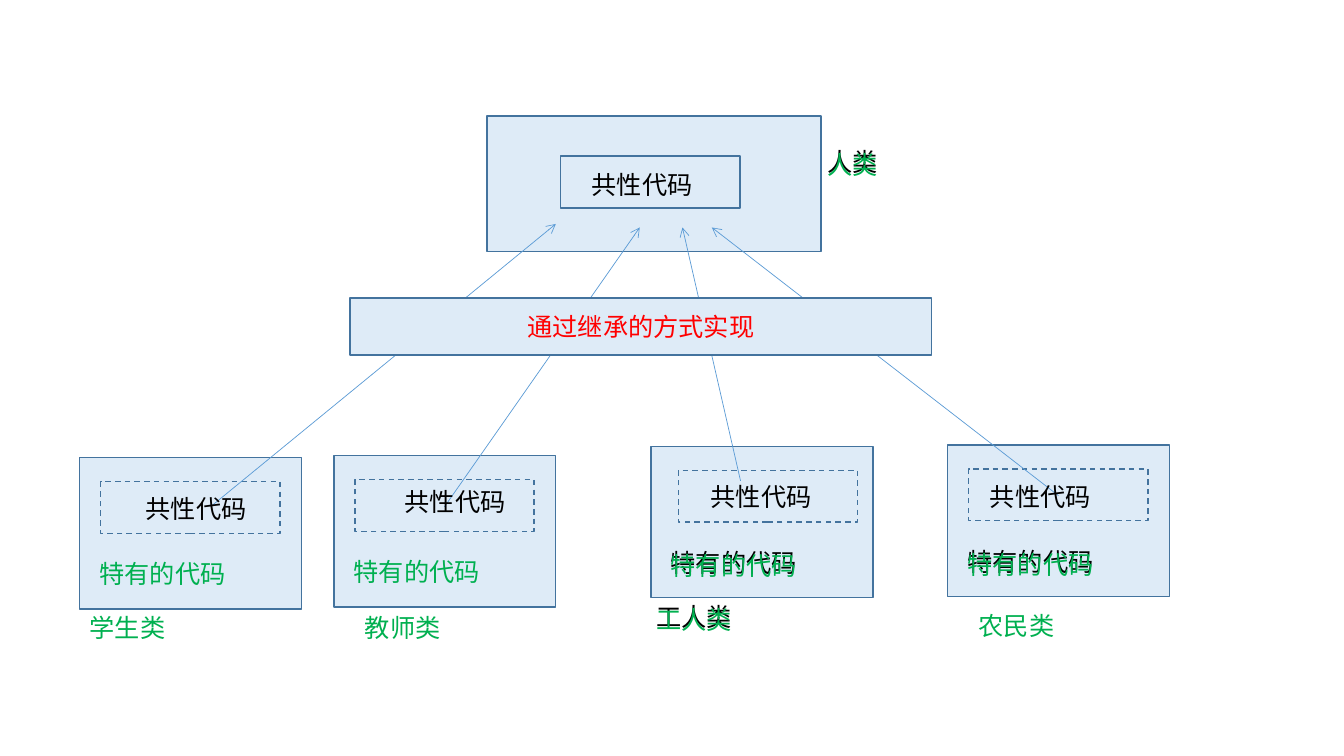
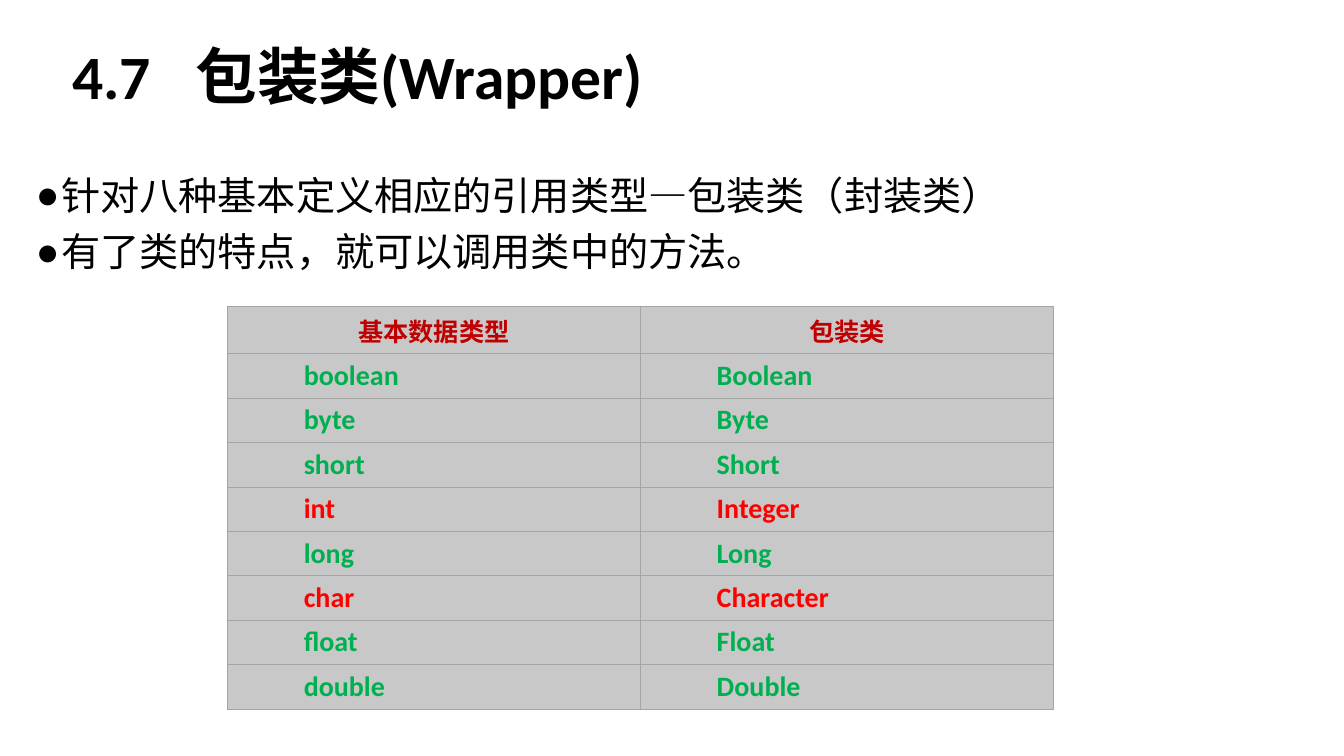
from pptx import Presentation
from pptx.dml.color import RGBColor as RGB
from pptx.enum.dml import MSO_LINE as Dash
from pptx.enum.shapes import MSO_CONNECTOR as Conn, MSO_SHAPE as Shape
from pptx.enum.text import MSO_ANCHOR as Anchor, MSO_AUTO_SIZE as Auto, PP_ALIGN as Align
from pptx.oxml import parse_xml
from pptx.oxml.ns import nsdecls
from pptx.util import Pt

HUES = {
    "pale": "DEEBF7", "edge": "43739E", "arrow": "5B9BD5", "black": "000000",
    "green": "00B050", "red": "FF0000", "head": "C00000", "cell": "C8C8C8", "rule": "A5A5A5",
}
FONT, HAN = "Calibri", "Noto Sans CJK SC"
NS = nsdecls("a")


def write(para, text, size, hue, bold=False, font=FONT):
    run = para.add_run()
    run.text = text
    run.font.name, run.font.size, run.font.bold = font, Pt(size), bold
    run.font.color.rgb = RGB.from_string(HUES[hue])
    return run


deck = Presentation()
deck.slide_width, deck.slide_height = Pt(960), Pt(540)

# Slide 1: inheritance diagram
slide = deck.slides.add_slide(deck.slide_layouts[6])
shapes = slide.shapes


def box(x, y, w, h, dash=False):
    rect = shapes.add_shape(Shape.RECTANGLE, Pt(x), Pt(y), Pt(w), Pt(h))
    rect.shadow.inherit = False
    rect.fill.solid()
    rect.fill.fore_color.rgb = RGB.from_string(HUES["pale"])
    rect.line.color.rgb = RGB.from_string(HUES["edge"])
    rect.line.width = Pt(1)
    if dash:
        rect.line.dash_style = Dash.DASH
    return rect


CORE_W, CORE_H = 128, 37
OWN, COMMON = "特有的代码", "共性代码"
box(348, 83, 238.5, 96.5)
box(400.5, 111.5, CORE_W, CORE_H)
labels = [("人类", 584, 101, True), (COMMON, 415.5, 117.5, None)]

# name, doubled, box, inset of the dashed box, name place, common place, arrow start and end
classes = [
    ("学生类", False, (57, 327), 15, (57, 434), (97, 348.5), (151, 361.5), (397, 160)),
    ("教师类", False, (238.5, 325.5), 15, (253.5, 434), (282, 343.5), (317.5, 362), (457, 162.5)),
    ("工人类", True, (465, 319), 19.5, (461.5, 426), (500.5, 340), (529, 343.5), (487.5, 162.5)),
    ("农民类", False, (677, 318), 15, (692, 432.5), (700, 340.5), (756, 354), (508.5, 162.5)),
]
for name, twice, (x, y), inset, spot, common, start, end in classes:
    box(x, y, 158.5, 108)
    box(x + inset, y + 17, CORE_W, CORE_H, dash=True)
    line = shapes.add_connector(Conn.STRAIGHT, *map(Pt, start + end))
    line.line.color.rgb = RGB.from_string(HUES["arrow"])
    line.line.width = Pt(0.5)
    line.line._get_or_add_ln().append(parse_xml(f'<a:tailEnd {NS} type="arrow"/>'))
    line._element.spPr.append(parse_xml(f"<a:effectLst {NS}/>"))
    labels += [
        (OWN, x + 7, y + 68.5, twice or name == "农民类"),
        (name, *spot, twice),
        (COMMON, *common, None),
    ]

bar = box(250, 213, 415.5, 40.5)
bar.text_frame.vertical_anchor = Anchor.MIDDLE
para = bar.text_frame.paragraphs[0]
para.alignment = Align.CENTER
write(para, "通过继承的方式实现", 18, "red")

# A doubled label is black with green 2 pt lower; None marks plain black
for text, x, y, twice in labels:
    layers = [("black", 0)] if twice is None else [("green", 0)]
    if twice:
        layers = [("black", 0), ("green", 2)]
    for hue, drop in layers:
        note = shapes.add_textbox(Pt(x), Pt(y + drop), Pt(145), Pt(29))
        note.text_frame.word_wrap = True
        write(note.text_frame.paragraphs[0], text, 18, hue)

# Slide 2: wrapper classes
slide = deck.slides.add_slide(deck.slide_layouts[1])
title, body = slide.placeholders
for holder, area in ((title, (44.5, 29.5, 471, 80)), (body, (18.5, 122.5, 926, 79))):
    holder.left, holder.top, holder.width, holder.height = map(Pt, area)
    holder.text_frame.auto_size = Auto.NONE
    holder.text_frame.vertical_anchor = Anchor.TOP

para = title.text_frame.paragraphs[0]
para._p.get_or_add_pPr().append(
    parse_xml(f'<a:tabLst {NS}><a:tab pos="{Pt(88)}" algn="l"/></a:tabLst>'))
para.alignment, para.line_spacing = Align.LEFT, 0.9
write(para, "4.7\t包装类(Wrapper)", 44, "black", True)

points = ["针对八种基本定义相应的引用类型—包装类（封装类）", "有了类的特点，就可以调用类中的方法。"]
for i, text in enumerate(points):
    para = body.text_frame.add_paragraph() if i else body.text_frame.paragraphs[0]
    props = para._p.get_or_add_pPr()
    props.set("marL", str(Pt(18)))
    props.set("indent", str(Pt(-18)))
    props.append(parse_xml(f'<a:buChar {NS} char="●"/>'))
    para.line_spacing, para.space_before = 0.9, Pt(10 if i else 0)
    write(para, text, 28, "black")

rows = [
    ("基本数据类型", "包装类"), ("boolean", "Boolean"), ("byte", "Byte"),
    ("short", "Short"), ("int", "Integer"), ("long", "Long"),
    ("char", "Character"), ("float", "Float"), ("double", "Double"),
]
HEAD_H, ROW_H, COL_W = 33.6, 31.7, 295
frame = slide.shapes.add_table(len(rows), 2, Pt(162.5), Pt(219), Pt(2 * COL_W),
                               Pt(HEAD_H + ROW_H * (len(rows) - 1)))
table = frame.table
table.first_row = table.horz_banding = False
for col in table.columns:
    col.width = Pt(COL_W)
for r, row in enumerate(rows):
    table.rows[r].height = Pt(ROW_H if r else HEAD_H)
    for c, text in enumerate(row):
        cell = table.cell(r, c)
        cell.vertical_anchor = Anchor.MIDDLE
        cell.margin_left, cell.margin_right = Pt(54.5 if r else 9.5), Pt(9.5)
        for side in "LRTB":
            cell._tc.get_or_add_tcPr().append(parse_xml(
                f'<a:ln{side} {NS} w="{Pt(0.5)}"><a:solidFill>'
                f'<a:srgbClr val="{HUES["rule"]}"/></a:solidFill></a:ln{side}>'))
        cell.fill.solid()
        cell.fill.fore_color.rgb = RGB.from_string(HUES["cell"])
        para = cell.text_frame.paragraphs[0]
        if r:
            write(para, text, 20, "red" if row[0] in ("int", "char") else "green", True)
        else:
            para.alignment = Align.CENTER
            run = write(para, text, 18, "head", True, HAN)
            run._r.get_or_add_rPr().append(parse_xml(f'<a:ea {NS} typeface="{HAN}"/>'))

deck.save("out.pptx")
